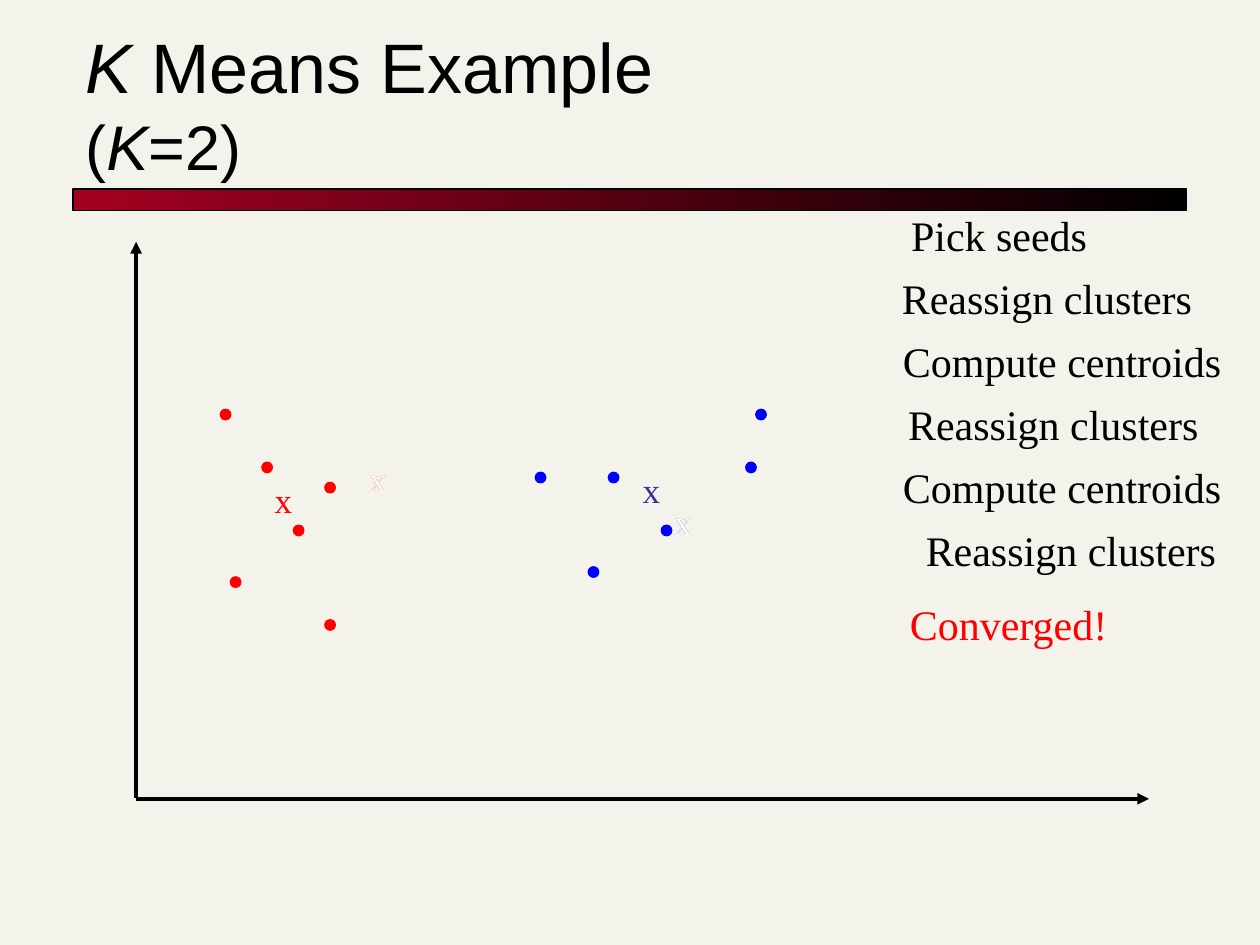
from lxml.etree import SubElement
from pptx import Presentation
from pptx.dml.color import RGBColor
from pptx.enum.shapes import MSO_CONNECTOR, MSO_SHAPE
from pptx.enum.text import MSO_ANCHOR, MSO_AUTO_SIZE, PP_ALIGN
from pptx.oxml.ns import qn
from pptx.util import Inches, Pt

COLORS = {
    "background": "F4F3EB",
    "black": "000000",
    "crimson": "A50021",
    "red": "FF0000",
    "blue": "0000FF",
    "indigo": "333399",
    "white": "FFFFFF",
}
POINTS = {
    "red": [(1.75, 3.25), (2.08, 3.67), (2.58, 3.83), (2.33, 4.17),
            (2.58, 4.92), (1.83, 4.58)],
    "blue": [(5.25, 4.17), (4.67, 4.5), (5.92, 3.67), (4.83, 3.75),
             (6, 3.25), (4.25, 3.75)],
}
CENTROIDS = [
    (2.83, 3.58, "red"), (5.25, 3.92, "indigo"),
    (5.25, 3.92, "white"), (2.83, 3.58, "white"),
    (5, 3.67, "indigo"), (2.08, 3.75, "red"),
]
STEPS = [
    ("Pick seeds", 7.13, 1.6),
    ("Reassign clusters", 7.04, 2.54),
    ("Compute centroids", 7.05, 2.76),
    ("Reassign clusters", 7.09, 2.54),
    ("Compute centroids", 7.05, 2.76),
    ("Reassign clusters", 7.23, 2.54),
]
STEP_TOP, STEP_PITCH = 1.61, 0.5


def rgb(name):
    """Return the named colour."""
    return RGBColor.from_string(COLORS[name])


def add_title(slide):
    """Add the two-line title with its italic K."""
    title = slide.shapes.add_textbox(Inches(0.58), Inches(0.42), Inches(8.83), Inches(1.08))
    frame = title.text_frame
    frame.word_wrap = True
    frame.vertical_anchor = MSO_ANCHOR.BOTTOM
    heading = frame.paragraphs[0]
    heading.font.name = "Arial"
    heading.font.color.rgb = rgb("black")
    lines = [
        (40, [("K", True), (" Means Example", False)]),
        (36, [("(", False), ("K", True), ("=2)", False)]),
    ]
    for number, (size, parts) in enumerate(lines):
        if number:
            heading.add_line_break()
        for text, italic in parts:
            part = heading.add_run()
            part.text = text
            part.font.size = Pt(size)
            part.font.italic = italic


def add_title_bar(slide):
    """Add the gradient bar under the title."""
    bar = slide.shapes.add_shape(
        MSO_SHAPE.RECTANGLE, Inches(0.58), Inches(1.5), Inches(8.84), Inches(0.17))
    bar.shadow.inherit = False
    bar.fill.gradient()
    bar.fill.gradient_angle = 0
    for stop, color in zip(bar.fill.gradient_stops, ("crimson", "black")):
        stop.color.rgb = rgb(color)
    bar.line.color.rgb = rgb("black")
    bar.line.width = Pt(0.75)


def add_axis(slide, start, end):
    """Add an axis with an arrowhead at its end."""
    axis = slide.shapes.add_connector(
        MSO_CONNECTOR.STRAIGHT, *(Inches(value) for value in start + end))
    axis.line.color.rgb = rgb("black")
    axis.line.width = Pt(2.25)
    SubElement(axis.line._get_or_add_ln(), qn("a:tailEnd"), type="triangle")
    SubElement(axis._element.spPr, qn("a:effectLst"))


def add_point(slide, left, top, color):
    """Add one data point."""
    point = slide.shapes.add_shape(
        MSO_SHAPE.OVAL, Inches(left), Inches(top), Inches(0.08), Inches(0.08))
    point.shadow.inherit = False
    point.fill.solid()
    point.fill.fore_color.rgb = rgb(color)
    point.line.color.rgb = rgb(color)
    point.line.width = Pt(1)


def add_label(slide, text, left, top, width, height=0.5, size=24, color="black"):
    """Add a centred one-line label."""
    label = slide.shapes.add_textbox(Inches(left), Inches(top), Inches(width), Inches(height))
    frame = label.text_frame
    frame.word_wrap = False
    frame.auto_size = MSO_AUTO_SIZE.SHAPE_TO_FIT_TEXT
    line = frame.paragraphs[0]
    line.text = text
    line.alignment = PP_ALIGN.CENTER
    line.font.name = "Times New Roman"
    line.font.size = Pt(size)
    line.font.color.rgb = rgb(color)


def main():
    """Build the K-means slide."""
    deck = Presentation()
    deck.slide_width, deck.slide_height = Inches(10), Inches(7.5)
    slide = deck.slides.add_slide(deck.slide_layouts[6])
    slide.background.fill.solid()
    slide.background.fill.fore_color.rgb = rgb("background")

    add_title_bar(slide)
    add_title(slide)
    add_axis(slide, (1.08, 6.33), (1.08, 1.92))
    add_axis(slide, (1.08, 6.34), (9.12, 6.34))
    for color, places in POINTS.items():
        for left, top in places:
            add_point(slide, left, top, color)
    for left, top, color in CENTROIDS:
        add_label(slide, "x", left, top, 0.34, 0.44, 20, color)
    for number, (step, left, width) in enumerate(STEPS):
        add_label(slide, step, left, STEP_TOP + number * STEP_PITCH, width)
    add_label(slide, "Converged!", 7.12, 4.7, 1.77, color="red")
    deck.save("out.pptx")


if __name__ == "__main__":
    main()
